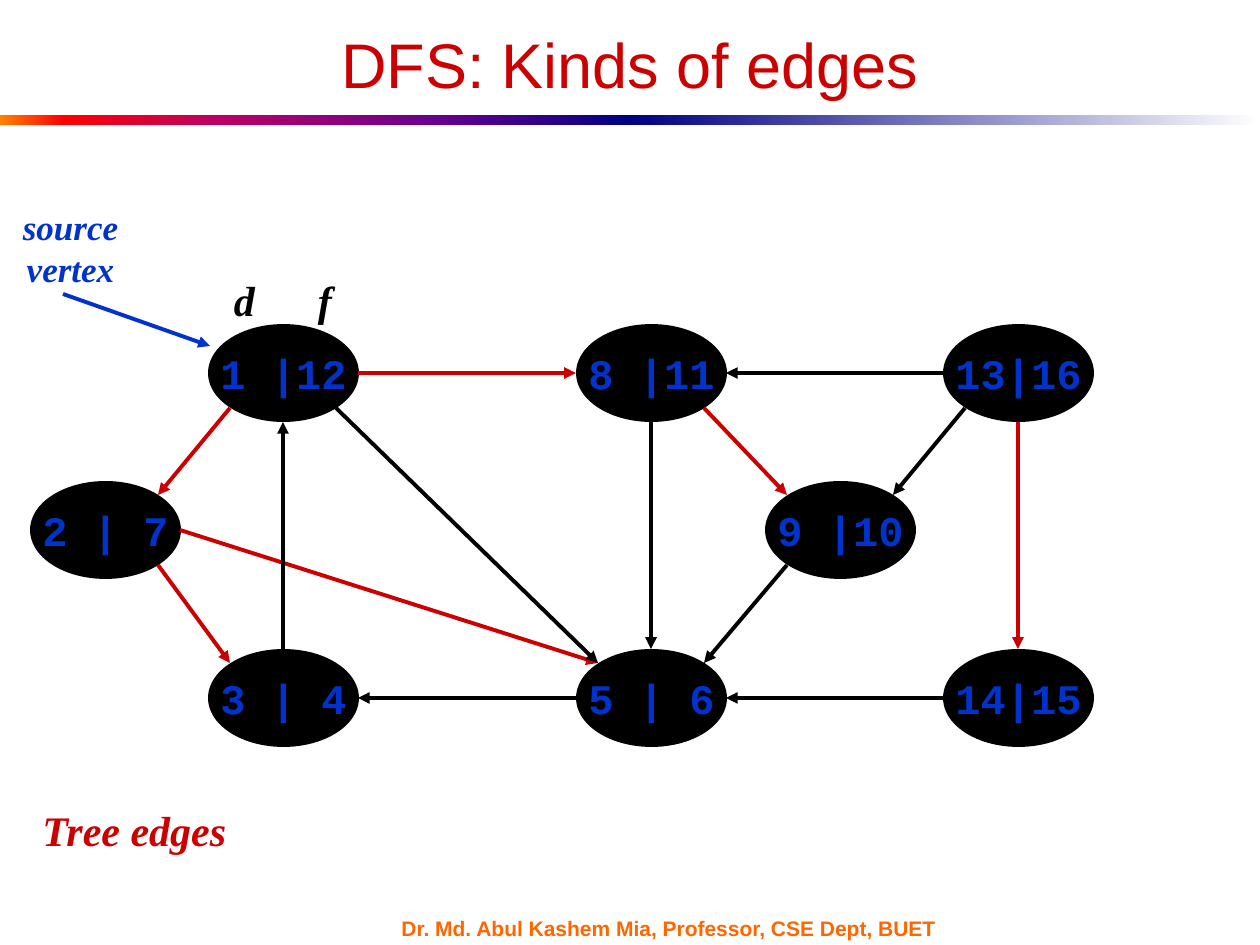
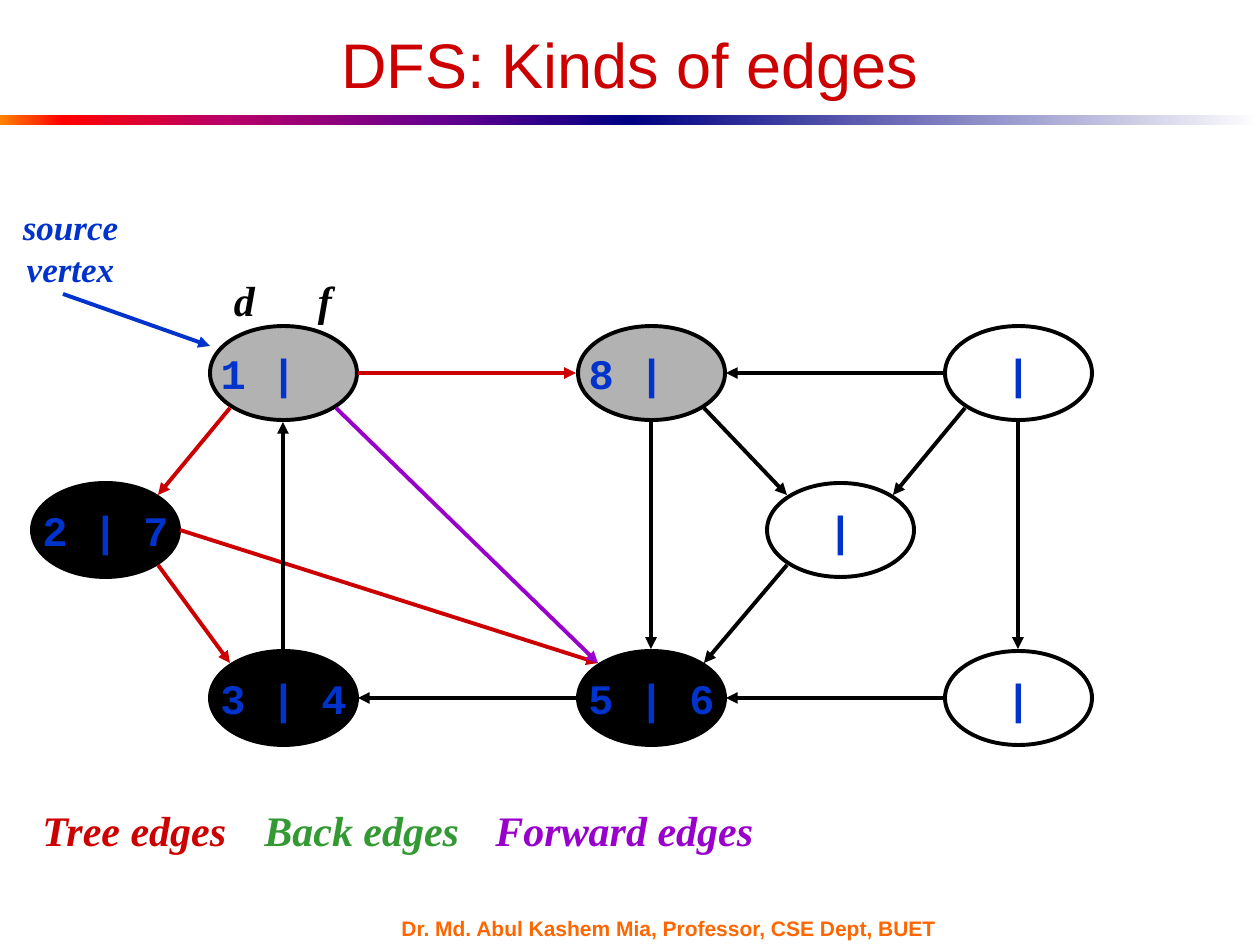
from collections import namedtuple

from lxml import etree
from pptx import Presentation
from pptx.dml.color import RGBColor
from pptx.enum.shapes import MSO_CONNECTOR, MSO_SHAPE
from pptx.enum.text import MSO_ANCHOR, MSO_AUTO_SIZE, PP_ALIGN
from pptx.oxml.ns import qn
from pptx.util import Pt

OVAL, RECTANGLE = MSO_SHAPE.OVAL, MSO_SHAPE.RECTANGLE
STRAIGHT = MSO_CONNECTOR.STRAIGHT
TOP, MIDDLE = MSO_ANCHOR.TOP, MSO_ANCHOR.MIDDLE
LEFT, CENTER = PP_ALIGN.LEFT, PP_ALIGN.CENTER
NO_AUTOFIT = MSO_AUTO_SIZE.NONE

EMU_PER_PX = 914400 / 126

BLACK = RGBColor(0x00, 0x00, 0x00)
WHITE = RGBColor(0xFF, 0xFF, 0xFF)
GRAY = RGBColor(0xB2, 0xB2, 0xB2)
RED = RGBColor(0xCC, 0x00, 0x00)
BLUE = RGBColor(0x00, 0x33, 0xCC)
GREEN = RGBColor(0x33, 0x99, 0x33)
PURPLE = RGBColor(0x99, 0x00, 0xCC)
ORANGE = RGBColor(0xFF, 0x66, 0x00)
NAVY = RGBColor(0x00, 0x00, 0x82)
WARM_STOPS = [(0, RGBColor(0xFF, 0x82, 0x00)), (10, RGBColor(0xFF, 0x00, 0x00)),
              (35, RGBColor(0xBA, 0x00, 0x66)), (70, RGBColor(0x66, 0x00, 0x8F)),
              (100, NAVY)]
FADE_STOPS = [(0, NAVY), (100, WHITE)]

Box = namedtuple("Box", "left top width height")
Style = namedtuple("Style", "font size color bold italic")

TITLE_STYLE = Style("Arial", 36, RED, False, False)
FOOTER_STYLE = Style("Arial", 12, ORANGE, True, False)
NODE_STYLE = Style("Courier New", 24, BLUE, True, False)
SOURCE_STYLE = Style("Times New Roman", 20, BLUE, True, True)
LABEL_STYLE = Style("Times New Roman", 24, BLACK, True, True)

PAGE = Box(0, 0, 1260, 945)
TITLE = Box(63, 31, 1134, 64)
BAND = Box(0, 115, 1260, 10)
FOOTER = Box(389, 917, 588, 23)
GRAPH = Box(0, 200, 1260, 548)
LEGEND = Box(30, 798, 738, 63)

# Graph geometry: node centres within the graph, and arrow ends around a node
NODE_WIDTH, NODE_HEIGHT, LINE_POINTS = 147, 94, 2.25
CHARACTER_WIDTH = 25
CENTERS = {"a": (283, 173), "b": (651, 173), "c": (1018, 173),
           "d": (105, 330), "e": (840, 330),
           "f": (283, 498), "g": (651, 498), "h": (1018, 498)}
ANCHORS = {"N": (0, -49), "S": (0, 49), "W": (-75, 0), "E": (75, 0),
           "NW": (-53, -35), "NE": (53, -35), "SW": (-53, 35), "SE": (53, 35)}
EDGES = [("a", "SW", "d", "NE"), ("d", "SE", "f", "NW"), ("d", "E", "g", "NW"),
         ("g", "W", "f", "E"), ("f", "N", "a", "S"), ("a", "SE", "g", "NW"),
         ("b", "S", "g", "N"), ("a", "E", "b", "W"), ("c", "W", "b", "E"),
         ("b", "SE", "e", "NW"), ("c", "SW", "e", "NE"), ("c", "S", "h", "N"),
         ("h", "W", "g", "E"), ("e", "SW", "g", "NE")]

# What differs from slide to slide
FINISHED = {"a": ("1 |12", BLACK), "b": ("8 |11", BLACK), "c": ("13|16", BLACK),
            "h": ("14|15", BLACK), "g": ("5 | 6", BLACK), "f": ("3 | 4", BLACK),
            "d": ("2 | 7", BLACK), "e": ("9 |10", BLACK)}
UNSEEN = ("|", None)
IN_PROGRESS = {**FINISHED, "a": ("1 |", GRAY), "b": ("8 |", GRAY),
               "c": UNSEEN, "h": UNSEEN, "e": UNSEEN}
FIRST_TREE = {"ad": RED, "df": RED, "dg": RED, "ab": RED}
TREE_LABEL = ("Tree edges", RED, 0, 210)
BACK_LABEL = ("Back edges", GREEN, 222, 220)
FORWARD_LABEL = ("Forward edges", PURPLE, 453, 284)
SLIDES = [
    (FINISHED, {**FIRST_TREE, "be": RED, "ch": RED}, [TREE_LABEL]),
    (IN_PROGRESS, {**FIRST_TREE, "ag": PURPLE},
     [TREE_LABEL, BACK_LABEL, FORWARD_LABEL]),
]


def px(length):
    return round(length * EMU_PER_PX)


def emu(box):
    return [px(length) for length in box]


def write(frame, lines, style, align=LEFT, anchor=TOP, wrap=False):
    frame.word_wrap = wrap
    frame.vertical_anchor = anchor
    para = frame.paragraphs[0]
    para.alignment = align
    for index, line in enumerate(lines):
        if index:
            para.add_line_break()
        span = para.add_run()
        span.text = line
        font = span.font
        font.name, font.size = style.font, Pt(style.size)
        font.bold, font.italic = style.bold, style.italic
        font.color.rgb = style.color
    return para


def add_text(page, box, lines, style, **options):
    shape = page.shapes.add_textbox(*emu(box))
    return shape, write(shape.text_frame, lines, style, **options)


def add_arrow(page, start, end, color):
    arrow = page.shapes.add_connector(STRAIGHT, *emu(start + end))
    arrow.line.color.rgb = color
    arrow.line.width = Pt(LINE_POINTS)
    properties = arrow.element.spPr
    etree.SubElement(properties.find(qn("a:ln")), qn("a:tailEnd"), type="triangle")
    etree.SubElement(properties, qn("a:effectLst"))


def add_gradient(page, box, stops):
    shape = page.shapes.add_shape(RECTANGLE, *emu(box))
    shape.shadow.inherit = False
    shape.line.fill.background()
    shape.fill.gradient()
    shape.fill.gradient_angle = 0
    stop_list = shape.element.spPr.find(".//" + qn("a:gsLst"))
    for old_stop in list(stop_list):
        stop_list.remove(old_stop)
    for percent, color in stops:
        stop = etree.SubElement(stop_list, qn("a:gs"), pos=str(percent * 1000))
        etree.SubElement(stop, qn("a:srgbClr"), val=str(color))


def add_frame(page):
    """Title, colour band and footer."""
    half = BAND.width // 2
    add_gradient(page, BAND._replace(width=half), WARM_STOPS)
    add_gradient(page, BAND._replace(left=BAND.left + half, width=half), FADE_STOPS)
    add_text(page, FOOTER, ["Dr. Md. Abul Kashem Mia, Professor, CSE Dept, BUET"],
             FOOTER_STYLE, anchor=MIDDLE)
    title = page.shapes.title
    title.left, title.top, title.width, title.height = emu(TITLE)
    title.text_frame.auto_size = NO_AUTOFIT
    write(title.text_frame, ["DFS: Kinds of edges"], TITLE_STYLE,
          align=CENTER, anchor=MIDDLE, wrap=True)


def add_node(page, center, label, color):
    x, y = center
    box = Box(x - NODE_WIDTH // 2, y - NODE_HEIGHT // 2, NODE_WIDTH, NODE_HEIGHT)
    node = page.shapes.add_shape(OVAL, *emu(box))
    node.shadow.inherit = False
    node.line.color.rgb = BLACK
    node.line.width = Pt(LINE_POINTS)
    if color is None:
        node.fill.background()
    else:
        node.fill.solid()
        node.fill.fore_color.rgb = color
    frame = node.text_frame
    write(frame, [label], NODE_STYLE, align=CENTER, anchor=MIDDLE)
    # Keep the bar in the middle of the node when a time is missing
    before, after = (len(part) for part in label.split("|"))
    frame.margin_left = 0
    frame.margin_right = px((before - after) * CHARACTER_WIDTH)


def add_graph(page, box, nodes, edge_colors):
    def place(x, y):
        return box.left + x, box.top + y

    for name, (label, color) in nodes.items():
        add_node(page, place(*CENTERS[name]), label, color)

    # Edges run between anchor points on the nodes
    for source, leaving, target, entering in EDGES:
        start, end = (
            place(CENTERS[name][0] + ANCHORS[side][0],
                  CENTERS[name][1] + ANCHORS[side][1])
            for name, side in ((source, leaving), (target, entering)))
        add_arrow(page, start, end, edge_colors.get(source + target, BLACK))

    # Source vertex pointer
    add_arrow(page, place(63, 94), place(210, 146), BLUE)
    add_text(page, Box(*place(10, -1), 121, 97), ["source", "vertex"],
             SOURCE_STYLE, align=CENTER)

    # Headings for discovery and finishing times, spaced by a tab stop
    heading, para = add_text(page, Box(*place(210, 52), 147, 95), ["d\tf"],
                             LABEL_STYLE, anchor=MIDDLE, wrap=True)
    heading.text_frame.margin_left = px(24)
    heading.text_frame.margin_right = 0
    tabs = etree.SubElement(para._p.get_or_add_pPr(), qn("a:tabLst"))
    etree.SubElement(tabs, qn("a:tab"), pos=str(px(84)), algn="l")


def add_legend(page, box, labels):
    for text, color, offset, width in labels:
        add_text(page, Box(box.left + offset, box.top, width, box.height), [text],
                 LABEL_STYLE._replace(color=color))


def main():
    deck = Presentation()
    deck.slide_width, deck.slide_height = px(PAGE.width), px(PAGE.height)
    title_only = deck.slide_layouts[5]
    for nodes, edge_colors, labels in SLIDES:
        page = deck.slides.add_slide(title_only)
        add_frame(page)
        add_graph(page, GRAPH, nodes, edge_colors)
        add_legend(page, LEGEND, labels)
    deck.save("out.pptx")


if __name__ == "__main__":
    main()
